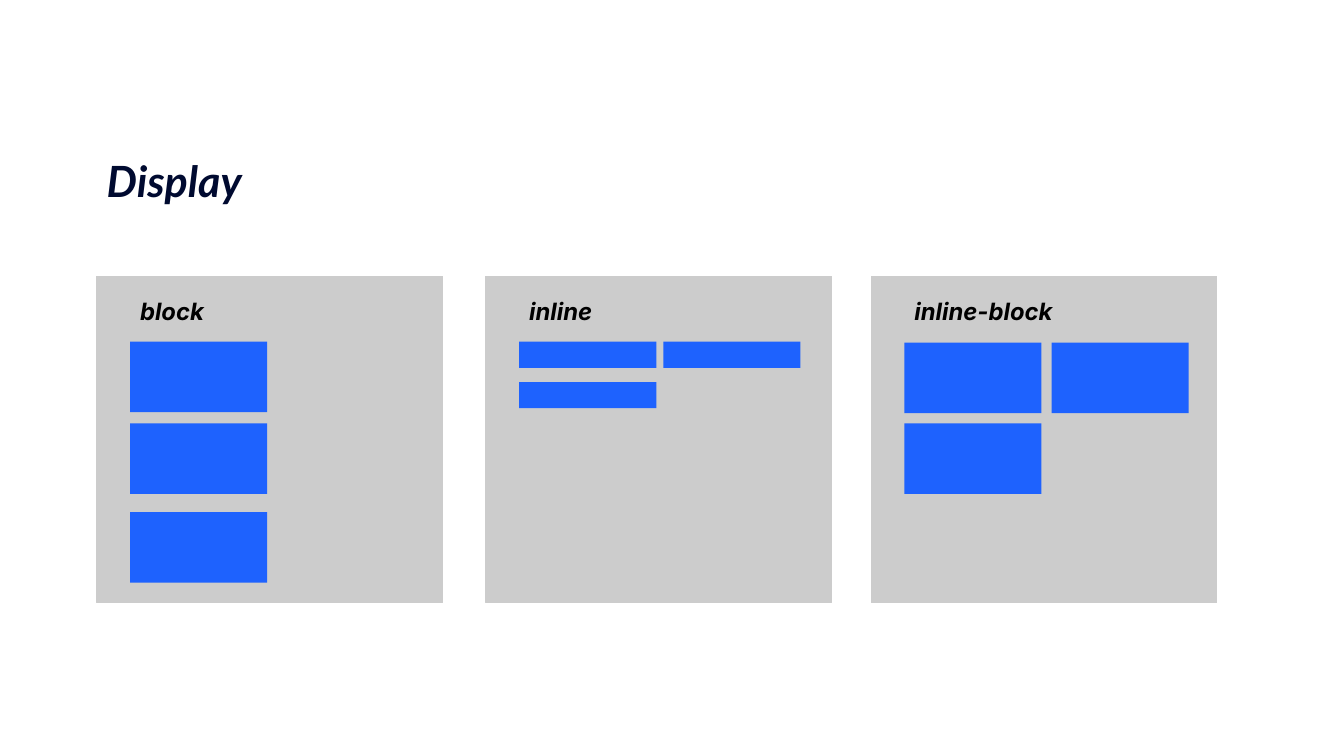
from dataclasses import dataclass

from pptx import Presentation
from pptx import util as u
from pptx.dml.color import RGBColor
from pptx.enum import shapes, text
from pptx.slide import Slide

COLORS = {"title": "000A30", "label": "000000", "panel": "CCCCCC", "element": "1E62FE"}
PANEL_TOP, PANEL_WIDTH, PANEL_HEIGHT = 2.74, 3.43, 3.24
PADDING = 0.33
ELEMENT_WIDTH = 1.36


@dataclass(frozen=True)
class DisplayMode:
    name: str
    left: float
    label_width: float
    element_height: float
    elements: tuple[tuple[float, float], ...]


MODES = (
    DisplayMode("block", 0.96, 2.91, 0.7, ((0, 3.39), (0, 4.2), (0, 5.08))),
    DisplayMode("inline", 4.82, 2.76, 0.26, ((0, 3.39), (1.43, 3.39), (0, 3.79))),
    DisplayMode("inline-block", 8.64, 2.76, 0.7, ((0, 3.4), (1.46, 3.4), (0, 4.2))),
)


def add_rect(slide: Slide, left: float, top: float, width: float, height: float,
             color: str, outlined: bool = False) -> None:
    rect = slide.shapes.add_shape(
        shapes.MSO_SHAPE.RECTANGLE,
        u.Inches(left), u.Inches(top), u.Inches(width), u.Inches(height))
    rect.shadow.inherit = False
    rect.fill.solid()
    rect.fill.fore_color.rgb = RGBColor.from_string(COLORS[color])
    if outlined:
        rect.line.color.rgb = RGBColor.from_string(COLORS[color])
        rect.line.width = u.Pt(0.75)
    else:
        rect.line.fill.background()


def add_heading(slide: Slide, wording: str, left: float, top: float, width: float,
                height: float, font: str, size: float, color: str) -> None:
    heading = slide.shapes.add_textbox(
        u.Inches(left), u.Inches(top), u.Inches(width), u.Inches(height))
    frame = heading.text_frame
    frame.word_wrap = True
    frame.vertical_anchor = text.MSO_ANCHOR.TOP
    frame.margin_left = frame.margin_right = u.Inches(0.1)
    frame.margin_top = frame.margin_bottom = u.Inches(0.1)
    run = frame.paragraphs[0].add_run()
    run.text = wording
    run.font.name = font
    run.font.size = u.Pt(size)
    run.font.bold = True
    run.font.italic = True
    run.font.color.rgb = RGBColor.from_string(COLORS[color])


def add_mode(slide: Slide, mode: DisplayMode) -> None:
    content_left = mode.left + PADDING
    add_rect(slide, mode.left, PANEL_TOP, PANEL_WIDTH, PANEL_HEIGHT, "panel", outlined=True)
    add_heading(slide, mode.name, content_left, PANEL_TOP + 0.1, mode.label_width, 0.49,
                "Inter", 17, "label")
    for offset, top in mode.elements:
        add_rect(slide, content_left + offset, top, ELEMENT_WIDTH, mode.element_height,
                 "element")


def main() -> None:
    deck = Presentation()
    deck.slide_width = u.Inches(13.33)
    deck.slide_height = u.Inches(7.5)
    slide = deck.slides.add_slide(deck.slide_layouts[6])
    add_heading(slide, "Display", 0.96, 1.43, 8.54, 0.83, "Lato", 30.7, "title")
    for mode in MODES:
        add_mode(slide, mode)
    deck.save("out.pptx")


if __name__ == "__main__":
    main()
